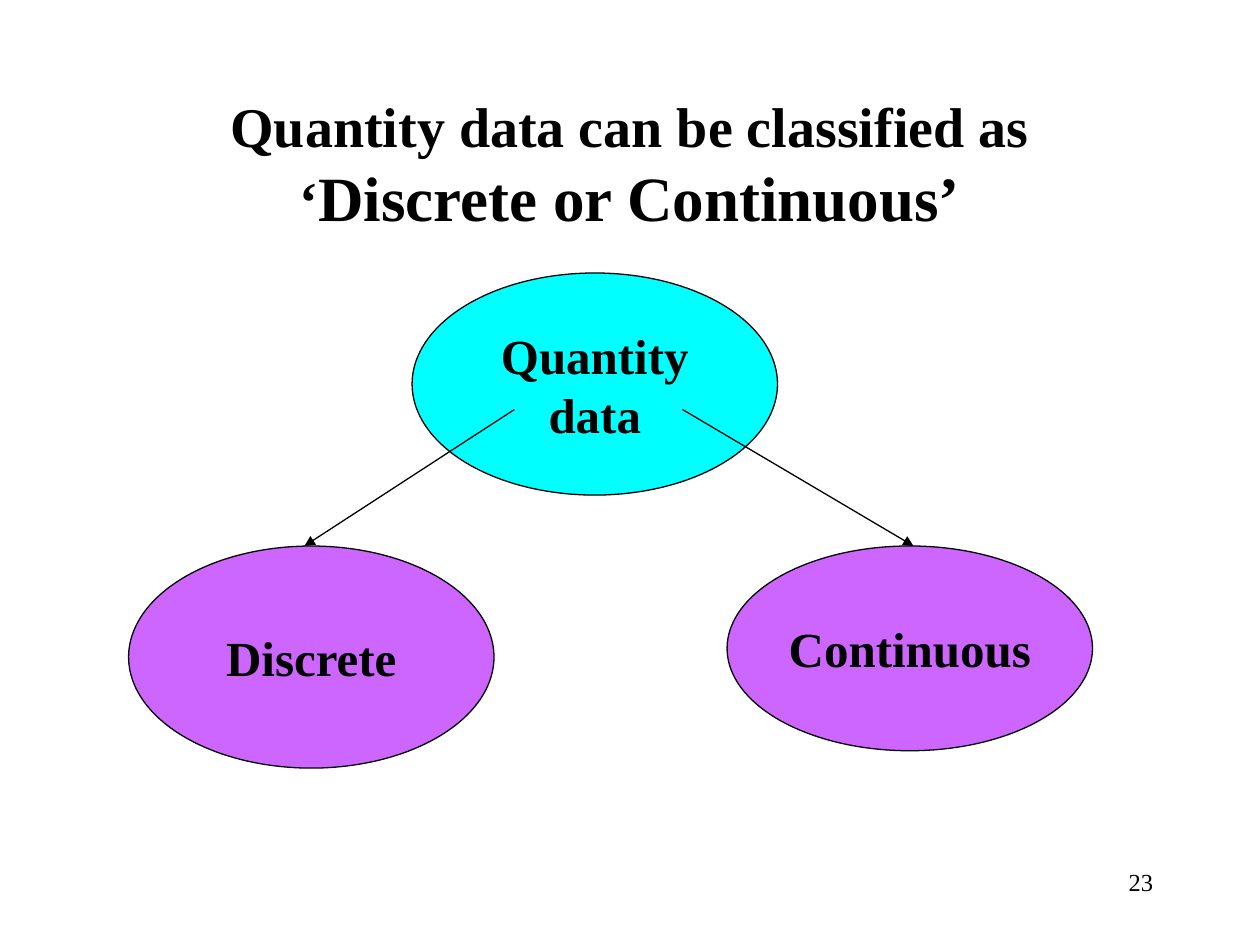
from lxml import etree
from pptx import Presentation
from pptx.dml.color import RGBColor
from pptx.enum.shapes import MSO_CONNECTOR, MSO_SHAPE
from pptx.enum.text import MSO_ANCHOR, PP_ALIGN
from pptx.oxml.ns import qn
from pptx.util import Inches, Pt

STRAIGHT, OVAL = MSO_CONNECTOR.STRAIGHT, MSO_SHAPE.OVAL
MIDDLE, TOP = MSO_ANCHOR.MIDDLE, MSO_ANCHOR.TOP
CENTER, RIGHT = PP_ALIGN.CENTER, PP_ALIGN.RIGHT

FONT = "Times New Roman"
COLORS = {"ink": "000000", "root": "00FFFF", "branch": "CC66FF"}
LINE_WIDTH = Pt(0.75)
WIDTH, HEIGHT = Inches(10), Inches(7.5)
COLS, ROWS = 120, 90


def color(name):
    return RGBColor.from_string(COLORS[name])


def grid(*lengths):
    """Turn alternating columns and rows into slide lengths."""
    units = (WIDTH / COLS, HEIGHT / ROWS)
    return [round(n * units[i % 2]) for i, n in enumerate(lengths)]


def add_run(p, text, size, bold=True):
    r = p.add_run()
    r.text = text
    r.font.name, r.font.size, r.font.bold = FONT, Pt(size), bold
    r.font.color.rgb = color("ink")


def add_text_box(s, box, anchor, align):
    """Add an empty text box and return its first paragraph."""
    tf = s.shapes.add_textbox(*grid(*box)).text_frame
    tf.word_wrap = True
    tf.vertical_anchor = anchor
    p = tf.paragraphs[0]
    p.alignment = align
    return p


def add_title(s, box):
    p = add_text_box(s, box, MIDDLE, CENTER)
    add_run(p, "Quantity data can be classified as", 32)
    p.add_line_break()
    add_run(p, "‘", 32)
    add_run(p, "Discrete or Continuous’", 36)


def add_page_number(s, box):
    add_run(add_text_box(s, box, TOP, RIGHT), "23", 14, bold=False)


def add_node(s, box, fill, lines):
    sp = s.shapes.add_shape(OVAL, *grid(*box))
    sp.shadow.inherit = False
    sp.fill.solid()
    sp.fill.fore_color.rgb = color(fill)
    sp.line.color.rgb = color("ink")
    sp.line.width = LINE_WIDTH
    tf = sp.text_frame
    tf.word_wrap = False
    tf.vertical_anchor = MIDDLE
    for i, text in enumerate(lines):
        p = tf.add_paragraph() if i else tf.paragraphs[0]
        p.alignment = CENTER
        add_run(p, text, 28)


def add_arrow(s, start, end):
    cx = s.shapes.add_connector(STRAIGHT, *grid(*start, *end))
    cx.line.color.rgb = color("ink")
    cx.line.width = LINE_WIDTH
    etree.SubElement(cx.line._get_or_add_ln(), qn("a:tailEnd"), type="triangle")
    etree.SubElement(cx._element.spPr, qn("a:effectLst"))


def add_tree(s, box):
    """Place the root, its two branches and the arrows inside the box."""
    left, top, width, height = box
    node_w, node_h, short_h = 34.8, 21.15, 19.5
    branch_top = top + 26
    add_node(s, (left + 27, top, node_w, node_h), "root", ["Quantity", "data"])
    add_node(s, (left + width - node_w, branch_top, node_w, short_h),
             "branch", ["Continuous"])
    add_node(s, (left, top + height - node_h, node_w, node_h),
             "branch", ["Discrete"])
    for start, end in ((36.75, 16.75), (52.75, 74.75)):
        add_arrow(s, (left + start, top + 13), (left + end, branch_top))


def main():
    prs = Presentation()
    prs.slide_width, prs.slide_height = WIDTH, HEIGHT
    s = prs.slides.add_slide(prs.slide_layouts[6])
    add_title(s, (9, 8, 102, 15))
    add_tree(s, (12.25, 26, 91.8, 47.15))
    add_page_number(s, (86, 82, 25, 6))
    prs.save("out.pptx")


if __name__ == "__main__":
    main()
